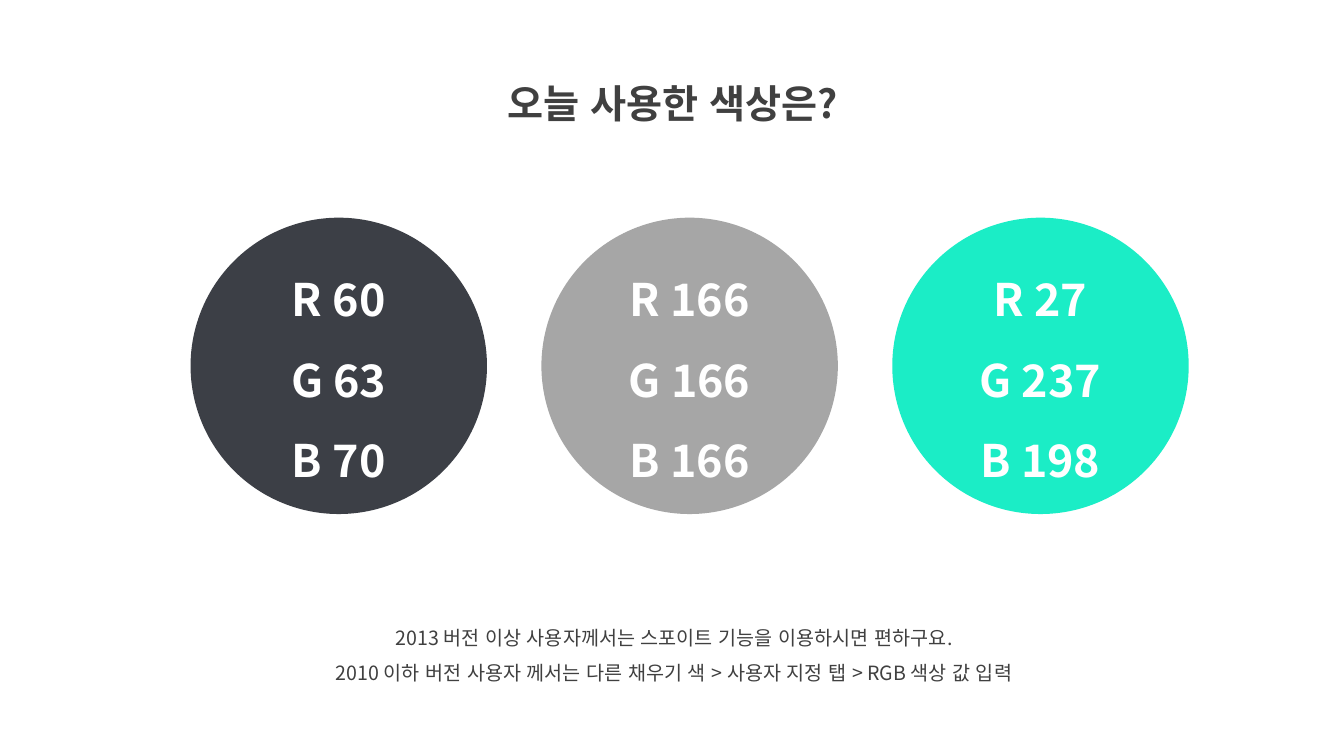
"""Build a slide that shows the three colours in use with their RGB values."""
from lxml.etree import SubElement
from pptx import Presentation
from pptx.dml.color import RGBColor
from pptx.enum.lang import MSO_LANGUAGE_ID
from pptx.enum.shapes import MSO_SHAPE
from pptx.enum.text import MSO_ANCHOR, MSO_AUTO_SIZE, PP_ALIGN
from pptx.oxml.ns import qn
from pptx.util import Inches, Pt

FONT = "Noto Sans CJK KR"
COLORS = {"text": "404040", "white": "FFFFFF",
          "dark": "3C3F46", "gray": "A6A6A6", "mint": "1BEDC6"}


def write(shape, lines, size, color="text", bold=False, anchor=MSO_ANCHOR.TOP):
    frame = shape.text_frame
    frame.word_wrap = True
    frame.vertical_anchor = anchor
    for i, line in enumerate(lines):
        para = frame.paragraphs[0] if i == 0 else frame.add_paragraph()
        para.alignment = PP_ALIGN.CENTER
        para.line_spacing = 1.5
        run = para.add_run()
        run.text = line
        run.font.size = Pt(size)
        run.font.bold = bold
        run.font.language_id = MSO_LANGUAGE_ID.KOREAN
        run.font.color.rgb = RGBColor.from_string(COLORS[color])
        run.font.name = FONT
        SubElement(run._r.get_or_add_rPr(), qn("a:ea"), typeface=FONT)


deck = Presentation()
deck.slide_width = Inches(13.33)
deck.slide_height = Inches(7.5)
slide = deck.slides.add_slide(deck.slide_layouts[6])
shapes = slide.shapes

title = shapes.add_textbox(Inches(4.36), Inches(0.5), Inches(4.63), Inches(0.72))
write(title, ["오늘 사용한 색상은?"], size=28, bold=True)

note = shapes.add_textbox(Inches(2.69), Inches(6.04), Inches(7.99), Inches(0.81))
write(note, [
    "2013 버전 이상 사용자께서는 스포이트 기능을 이용하시면 편하구요.",
    "2010 이하 버전 사용자 께서는 다른 채우기 색 > 사용자 지정 탭 > RGB 색상 값 입력",
], size=14)

for box in (title, note):
    box.text_frame.auto_size = MSO_AUTO_SIZE.SHAPE_TO_FIT_TEXT

left, pitch, side = 1.89, 3.48, 2.94
for i, name in enumerate(("dark", "gray", "mint")):
    disc = shapes.add_shape(MSO_SHAPE.OVAL, Inches(left + i * pitch),
                            Inches(2.16), Inches(side), Inches(side))
    disc.shadow.inherit = False
    tint = RGBColor.from_string(COLORS[name])
    disc.fill.solid()
    disc.fill.fore_color.rgb = tint
    disc.line.fill.background()
    lines = [f"{key} {value}" for key, value in zip("RGB", tint)]
    write(disc, lines, size=32, color="white", bold=True, anchor=MSO_ANCHOR.MIDDLE)

deck.save("out.pptx")
